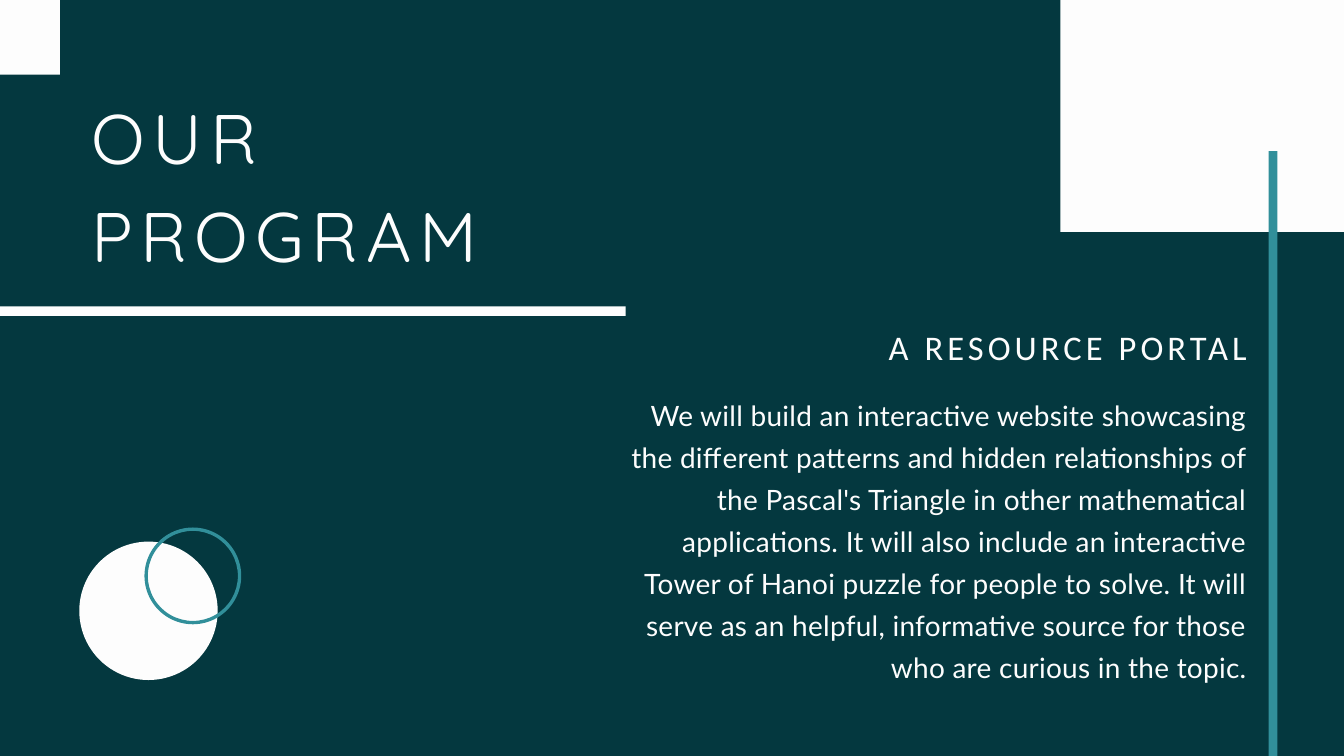
from dataclasses import dataclass

from lxml.etree import SubElement
from pptx import Presentation
from pptx.dml.color import RGBColor
from pptx.enum.shapes import MSO_SHAPE as Preset
from pptx.enum.text import MSO_ANCHOR as Anchor, MSO_AUTO_SIZE as AutoSize, PP_ALIGN as Align
from pptx.oxml.ns import qn
from pptx.util import Inches, Pt


@dataclass(frozen=True)
class TextStyle:
    """Type settings for one kind of text, in points."""
    font: str
    size: float
    leading: float
    tracking: float
    align: Align


@dataclass(frozen=True)
class Theme:
    """Colours and text styles of the slide."""
    background: RGBColor = RGBColor.from_string("04383F")
    light: RGBColor = RGBColor.from_string("FDFDFD")
    accent: RGBColor = RGBColor.from_string("318F9A")
    title: TextStyle = TextStyle("Quicksand", 75, 105, 8.2, Align.LEFT)
    heading: TextStyle = TextStyle("Calibri", 37, 51.8, 4.4, Align.RIGHT)
    body: TextStyle = TextStyle("Lato", 30, 45, 0.3, Align.RIGHT)


THEME = Theme()
TITLE_LINES = ["OUR", "PROGRAM"]
HEADING = "A RESOURCE PORTAL"
BODY = (
    "We will build an interactive website showcasing the different patterns and hidden "
    "relationships of the Pascal's Triangle in other mathematical applications. It will "
    "also include an interactive Tower of Hanoi puzzle for people to solve. It will serve "
    "as an helpful, informative source for those who are curious in the topic."
)


def add_figure(page, preset, left, top, width, height, color):
    """Add a flat preset shape without outline and return it."""
    figure = page.shapes.add_shape(
        preset, Inches(left), Inches(top), Inches(width), Inches(height))
    figure.shadow.inherit = False
    figure.fill.solid()
    figure.fill.fore_color.rgb = color
    figure.line.fill.background()
    return figure


def add_ring(page, left, top, diameter, thickness, color):
    """Add a thin ring."""
    ring = add_figure(page, Preset.DONUT, left, top, diameter, diameter, color)
    ring.adjustments[0] = thickness / diameter


def place(box, left, top, width, height):
    """Move and size a text holder."""
    box.left, box.top = Inches(left), Inches(top)
    box.width, box.height = Inches(width), Inches(height)


def write(box, lines, style):
    """Fill a text holder with one paragraph per line in the given style."""
    frame = box.text_frame
    frame.word_wrap = True
    frame.auto_size = AutoSize.NONE
    frame.vertical_anchor = Anchor.TOP
    frame.margin_left = frame.margin_right = frame.margin_top = frame.margin_bottom = 0
    for index, line in enumerate(lines):
        para = frame.add_paragraph() if index else frame.paragraphs[0]
        para.alignment = style.align
        para.line_spacing = Pt(style.leading)
        para.space_before = para.space_after = Pt(0)
        properties = para._p.get_or_add_pPr()
        properties.set("marL", "0")
        properties.set("indent", "0")
        SubElement(properties, qn("a:buNone"))
        span = para.add_run()
        span.text = line
        span.font.name = style.font
        span.font.size = Pt(style.size)
        span.font.color.rgb = THEME.light
        span._r.get_or_add_rPr().set("spc", str(round(style.tracking * 100)))


def add_texts(page):
    """Write the title, the heading and the description."""
    title, body = page.shapes.title, page.placeholders[1]
    heading = page.shapes.add_textbox(0, 0, 0, 0)
    place(title, 1.36, 1.2, 7.88, 2.84)
    place(heading, 9.3, 4.75, 9.26, 0.67)
    place(body, 9.3, 5.8, 9.26, 4.33)
    write(title, TITLE_LINES, THEME.title)
    write(heading, [HEADING], THEME.heading)
    write(body, [BODY], THEME.body)


def add_decoration(page):
    """Add the corner blocks, rules and circles."""
    add_figure(page, Preset.RECTANGLE, 15.78, -0.25, 4.47, 3.7, THEME.light)
    add_figure(page, Preset.OVAL, 1.18, 8.06, 2.06, 2.06, THEME.light)
    add_ring(page, 2.15, 7.85, 1.44, 0.05, THEME.accent)
    add_figure(page, Preset.RECTANGLE, 18.88, 2.25, 0.13, 9, THEME.accent)
    add_figure(page, Preset.RECTANGLE, -2.58, 4.56, 11.89, 0.14, THEME.light)
    add_figure(page, Preset.RECTANGLE, -0.23, -0.19, 1.12, 1.3, THEME.light)


def main():
    """Build and save the slide."""
    deck = Presentation()
    deck.slide_width, deck.slide_height = Inches(20), Inches(11.25)
    page = deck.slides.add_slide(deck.slide_layouts[1])
    page.background.fill.solid()
    page.background.fill.fore_color.rgb = THEME.background
    add_texts(page)
    add_decoration(page)
    deck.save("out.pptx")


if __name__ == "__main__":
    main()
